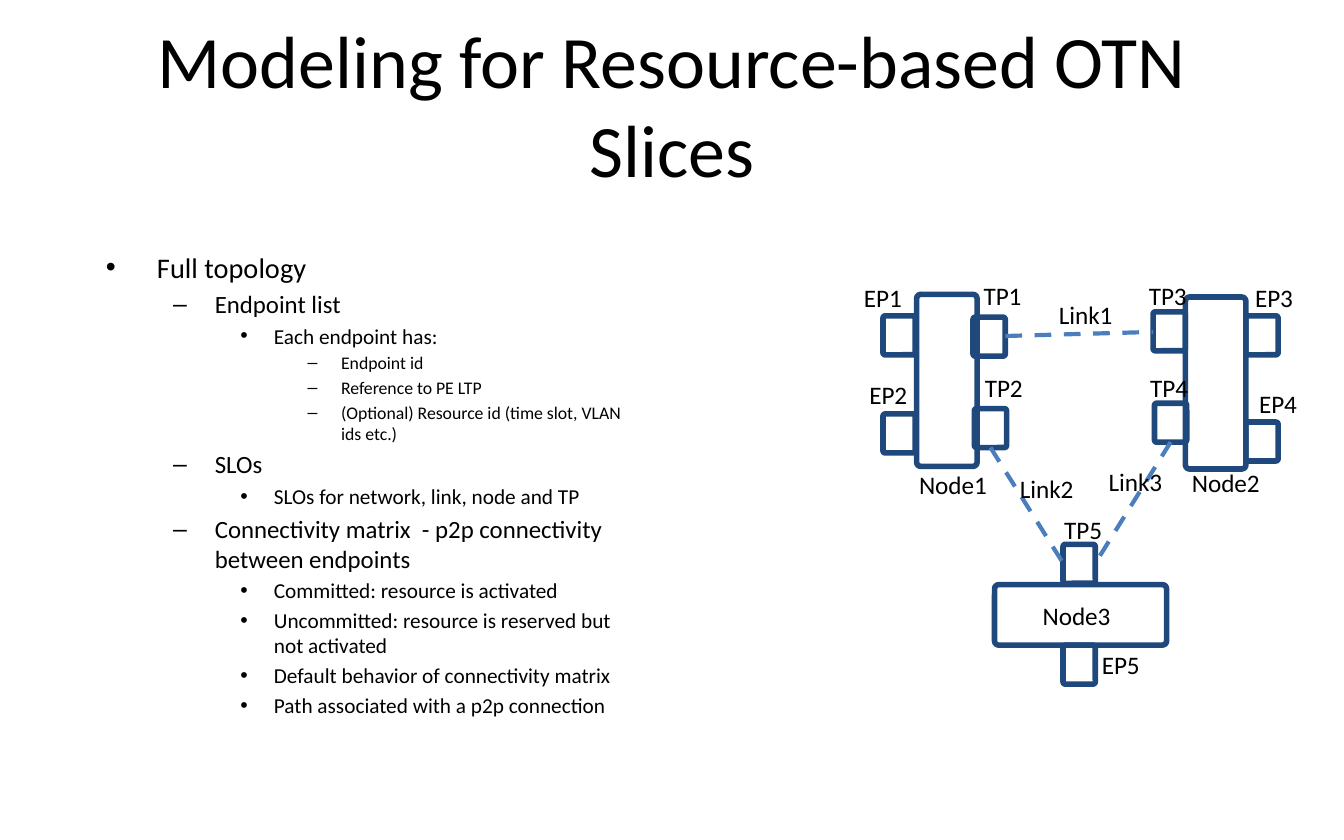
"""Slide on modeling resource-based OTN slices, with a three-node topology."""
from lxml import etree
from pptx import Presentation, util as u
from pptx.dml.color import RGBColor
from pptx.enum import dml, shapes, text
from pptx.oxml.ns import qn

theme = {
    "font": "Calibri",
    "ink": RGBColor.from_string("000000"),
    "outline": RGBColor.from_string("1F497D"),
    "link": RGBColor.from_string("4B7EBC"),
    "title": 39.6,
    "label": 13.5,
    "levels": [15.2, 13.3, 11.4, 9.5],
}

deck = Presentation()
deck.slide_width, deck.slide_height = u.Inches(10), u.Inches(6.25)
slide = deck.slides.add_slide(deck.slide_layouts[6])


def text_frame(left, top, width, height, anchor=text.MSO_ANCHOR.TOP):
    frame = slide.shapes.add_textbox(*map(u.Inches, (left, top, width, height))).text_frame
    frame.word_wrap = True
    frame.vertical_anchor = anchor
    return frame


def write(paragraph, wording, size):
    run = paragraph.add_run()
    run.text = wording
    format_values = {"name": theme["font"], "size": u.Pt(size)}
    for key, value in format_values.items():
        setattr(run.font, key, value)
    run.font.color.rgb = theme["ink"]


heading = text_frame(0.5, 0.25, 9, 1.04, text.MSO_ANCHOR.MIDDLE).paragraphs[0]
heading.alignment = text.PP_ALIGN.CENTER
write(heading, "Modeling for Resource-based OTN Slices", theme["title"])

outline = [
    (0, "Full topology"),
    (1, "Endpoint list"),
    (2, "Each endpoint has:"),
    (3, "Endpoint id"),
    (3, "Reference to PE LTP"),
    (3, "(Optional) Resource id (time slot, VLAN ids etc.)"),
    (1, "SLOs"),
    (2, "SLOs for network, link, node and TP"),
    (1, "Connectivity matrix  - p2p connectivity between endpoints"),
    (2, "Committed: resource is activated"),
    (2, "Uncommitted: resource is reserved but not activated"),
    (2, "Default behavior of connectivity matrix"),
    (2, "Path associated with a p2p connection"),
]
indents = [(0.38, 0.38), (0.81, 0.31), (1.25, 0.25), (1.75, 0.25)]
body = text_frame(0.69, 1.81, 4.17, 3.57)
for index, (level, wording) in enumerate(outline):
    point = body.add_paragraph() if index else body.paragraphs[0]
    size = theme["levels"][level]
    margin, hanging = indents[level]
    point.level = level
    point.space_before = u.Pt(0.2 * size)
    properties = point._p.get_or_add_pPr()
    properties.set("marL", str(u.Inches(margin)))
    properties.set("indent", str(-u.Inches(hanging)))
    etree.SubElement(properties, qn("a:buFont"), typeface="Arial")
    etree.SubElement(properties, qn("a:buChar"), char="•–"[level % 2])
    write(point, wording, size)

node_short, node_long = 0.45, 1.28
port_size = (0.24, 0.29)
nodes = [
    (6.82, 2.19, node_short, node_long),
    (8.82, 2.21, node_short, node_long),
    (7.4, 4.35, node_long, node_short),
]
ports = [
    (6.57, 2.35), (6.57, 3.08), (9.27, 2.35), (9.27, 3.14), (7.91, 4.8),
    (7.24, 2.36), (7.25, 3.04), (8.58, 2.32), (8.59, 3), (7.91, 4.05),
]
for box in nodes + [port + port_size for port in ports]:
    part = slide.shapes.add_shape(shapes.MSO_SHAPE.ROUNDED_RECTANGLE, *map(u.Inches, box))
    part.adjustments[0] = 0.068
    part.shadow.inherit = False
    part.fill.background()
    part.line.color.rgb = theme["outline"]
    part.line.width = u.Pt(3)

links = [
    (7.48, 2.5, 8.58, 2.47),
    (7.37, 3.33, 7.91, 4.19),
    (8.71, 3.29, 8.15, 4.19),
]
for ends in links:
    link = slide.shapes.add_connector(shapes.MSO_CONNECTOR.STRAIGHT, *map(u.Inches, ends))
    line_values = {"width": u.Pt(2.25), "dash_style": dml.MSO_LINE.DASH}
    for key, value in line_values.items():
        setattr(link.line, key, value)
    link.line.color.rgb = theme["link"]
    etree.SubElement(link._element.spPr, qn("a:effectLst"))

label_widths = {"Node": 0.74, "Link": 0.92, "EP": 0.54, "TP": 0.54}
label_places = {
    "Node": [(6.74, 3.44), (8.77, 3.43), (7.66, 4.42)],
    "Link": [(7.78, 2.18), (7.49, 3.47), (8.15, 3.42)],
    "EP": [(6.33, 2.05), (6.37, 2.77), (9.24, 2.05), (9.27, 2.84), (8.1, 4.78)],
    "TP": [(7.22, 2.04), (7.23, 2.72), (8.45, 2.04), (8.46, 2.72), (7.82, 3.78)],
}
for kind, places in label_places.items():
    for number, (left, top) in enumerate(places, 1):
        label = text_frame(left, top, label_widths[kind], 0.33)
        write(label.paragraphs[0], f"{kind}{number}", theme["label"])

deck.save("out.pptx")
